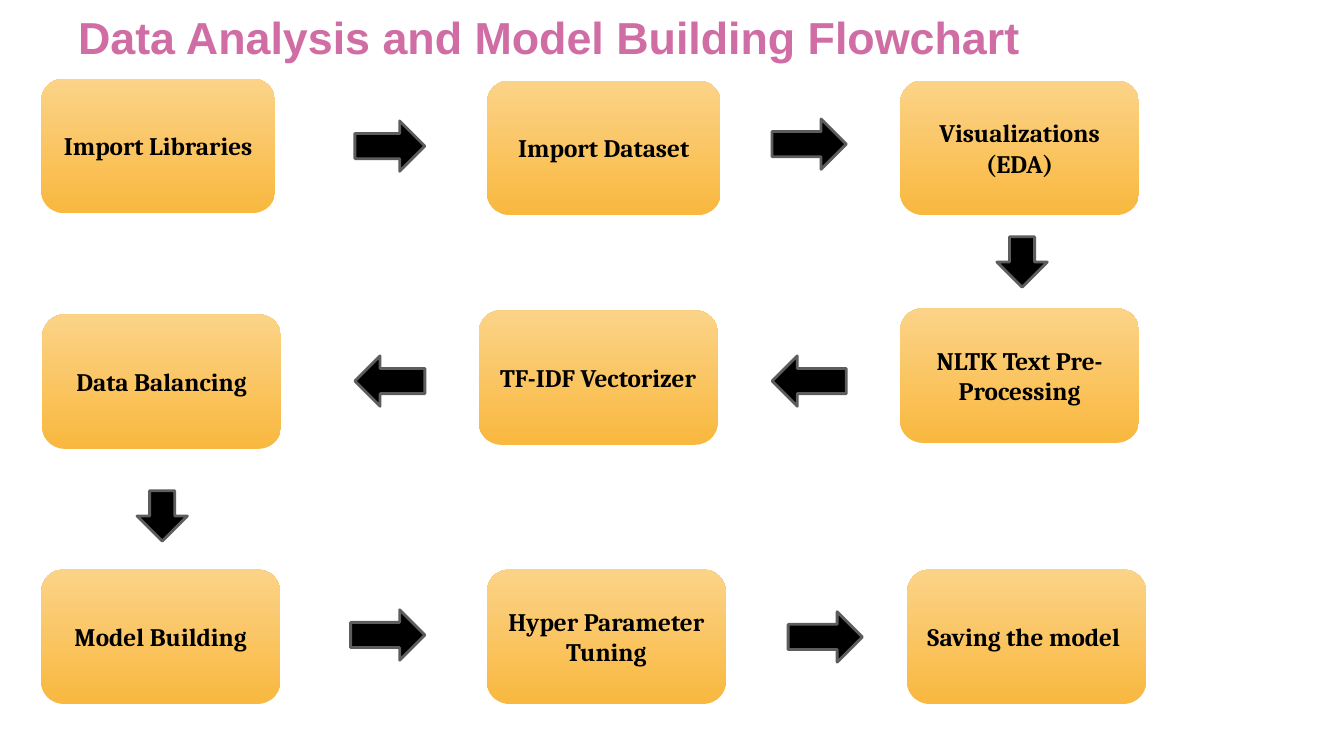
from collections import namedtuple
from dataclasses import dataclass

from pptx import Presentation
from pptx.dml.color import RGBColor
from pptx.enum.shapes import MSO_SHAPE as Preset
from pptx.enum.text import MSO_ANCHOR as Anchor, MSO_AUTO_SIZE as AutoSize, PP_ALIGN as Align
from pptx.util import Pt

Box = namedtuple("Box", "left top width height")
Step = namedtuple("Step", "text left top width")
Arrow = namedtuple("Arrow", "preset left top length")


@dataclass(frozen=True)
class Theme:
    title_color: str = "CF6DA4"
    step_bottom: str = "F9B83F"
    step_top: str = "FBD388"
    ink: str = "000000"
    arrow_edge: str = "5D5D5D"
    title_font: str = "Arial"
    step_font: str = "Cambria"
    title_size: float = 32
    step_size: float = 18
    edge_width: float = 2


THEME = Theme()
STEP_HEIGHT = 96
ARROW_SPAN = 36
WIDE = 170.6
NARROW = 167


def rgb(value):
    return RGBColor.from_string(value)


def in_points(box):
    return [Pt(length) for length in box]


def write_text(shape, text, *, font, size, color, anchor=Anchor.MIDDLE):
    frame = shape.text_frame
    frame.text = text
    frame.word_wrap = True
    frame.auto_size = AutoSize.NONE
    frame.vertical_anchor = anchor
    frame.margin_left = frame.margin_right = Pt(7.2)
    frame.margin_top = frame.margin_bottom = Pt(3.6)
    for paragraph in frame.paragraphs:
        paragraph.alignment = Align.CENTER
        for run in paragraph.runs:
            run.font.name = font
            run.font.size = Pt(size)
            run.font.bold = True
            run.font.color.rgb = rgb(color)


def add_heading(slide, box, text):
    heading = slide.shapes.title
    heading.left, heading.top, heading.width, heading.height = in_points(box)
    write_text(heading, text, font=THEME.title_font, size=THEME.title_size,
               color=THEME.title_color, anchor=Anchor.TOP)


def add_step(slide, box, text):
    step = slide.shapes.add_shape(Preset.FLOWCHART_ALTERNATE_PROCESS, *in_points(box))
    step.shadow.inherit = False
    step.line.fill.background()
    step.fill.gradient()
    step.fill.gradient_angle = 90
    for stop, color in zip(step.fill.gradient_stops, (THEME.step_bottom, THEME.step_top)):
        stop.color.rgb = rgb(color)
    write_text(step, text, font=THEME.step_font, size=THEME.step_size, color=THEME.ink)


def add_arrow(slide, box, preset):
    arrow = slide.shapes.add_shape(preset, *in_points(box))
    arrow.shadow.inherit = False
    arrow.fill.solid()
    arrow.fill.fore_color.rgb = rgb(THEME.ink)
    arrow.line.color.rgb = rgb(THEME.arrow_edge)
    arrow.line.width = Pt(THEME.edge_width)


def add_flow_row(slide, box, steps, arrows):
    """Place steps and arrows at offsets from the row's top left corner."""
    for step in steps:
        add_step(slide, Box(box.left + step.left, box.top + step.top,
                            step.width, box.height), step.text)
    for arrow in arrows:
        add_arrow(slide, Box(box.left + arrow.left, box.top + arrow.top,
                             arrow.length, ARROW_SPAN), arrow.preset)


# Each row: its top, its steps, its arrows including the one to the next row
ROWS = [
    (56.2,
     [Step("Import Libraries", 0, 0, NARROW),
      Step("Import Dataset", 318.3, 1.4, NARROW),
      Step("Visualizations\n(EDA)", 613.5, 1.4, WIDE)],
     [Arrow(Preset.RIGHT_ARROW, 224, 30.2, 50),
      Arrow(Preset.RIGHT_ARROW, 522, 28.8, 53),
      Arrow(Preset.DOWN_ARROW, 682.6, 113, 36)]),
    (220.3,
     [Step("NLTK Text Pre-Processing", 613.5, 0, WIDE),
      Step("TF-IDF Vectorizer", 312.5, 1.4, WIDE),
      Step("Data Balancing", 0.7, 4.3, WIDE)],
     [Arrow(Preset.LEFT_ARROW, 522, 33.9, 53),
      Arrow(Preset.LEFT_ARROW, 224, 33.9, 50),
      Arrow(Preset.DOWN_ARROW, 68.4, 130.3, 36)]),
    (406.8,
     [Step("Model Building", 0, 0, WIDE),
      Step("Hyper Parameter Tuning", 318.3, 0, WIDE),
      Step("Saving the model ", 618.5, 0, WIDE)],
     [Arrow(Preset.RIGHT_ARROW, 221, 28.8, 53),
      Arrow(Preset.RIGHT_ARROW, 533.5, 30.2, 53)]),
]


def main():
    deck = Presentation()
    deck.slide_width, deck.slide_height = Pt(960), Pt(540)
    slide = deck.slides.add_slide(deck.slide_layouts.get_by_name("Title Only"))

    # Title
    add_heading(slide, Box(0, 3.6, 785, 67), "Data Analysis and Model Building Flowchart")

    # Flowchart
    for top, steps, arrows in ROWS:
        add_flow_row(slide, Box(29.5, top, 789, STEP_HEIGHT), steps, arrows)

    deck.save("out.pptx")


if __name__ == "__main__":
    main()
